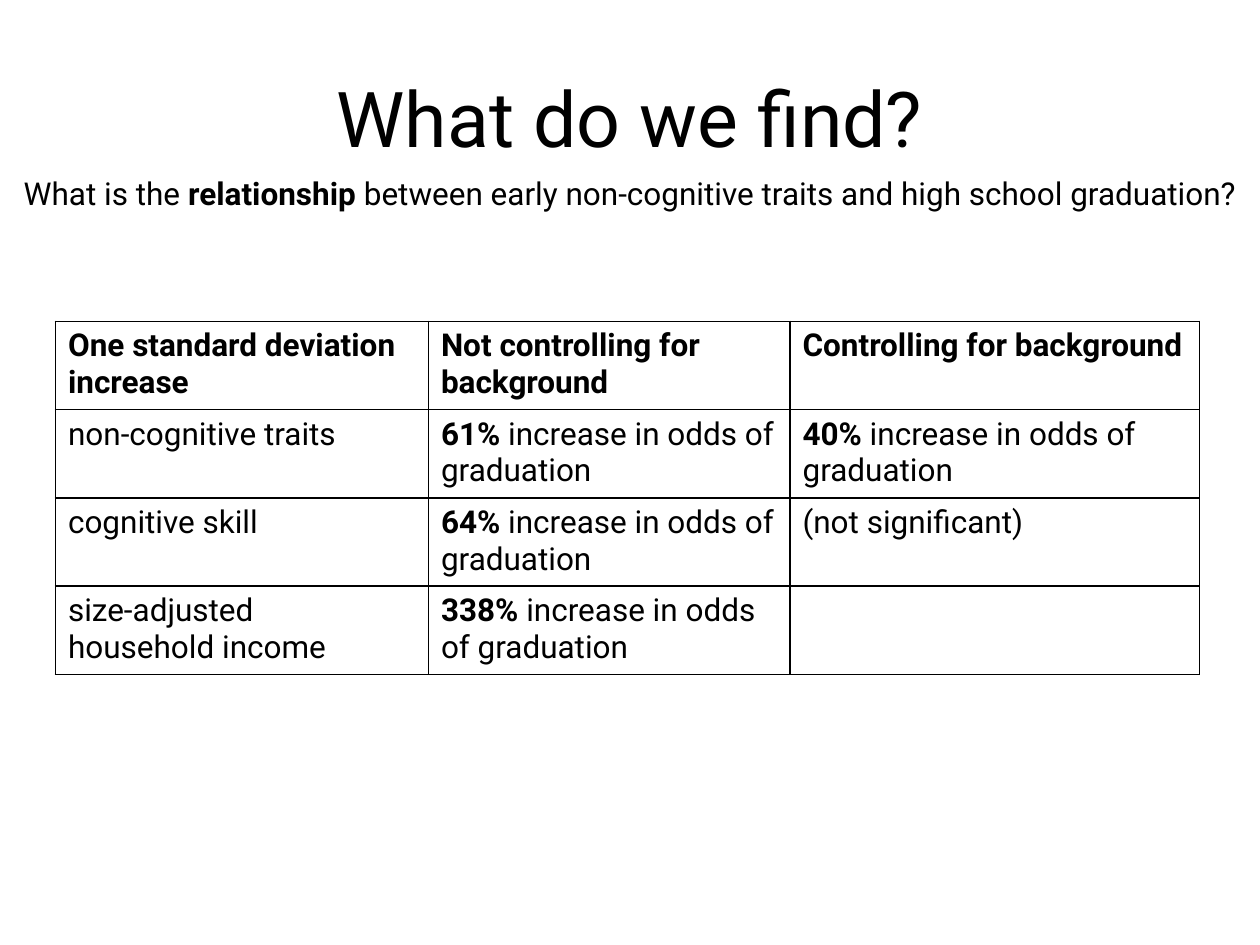
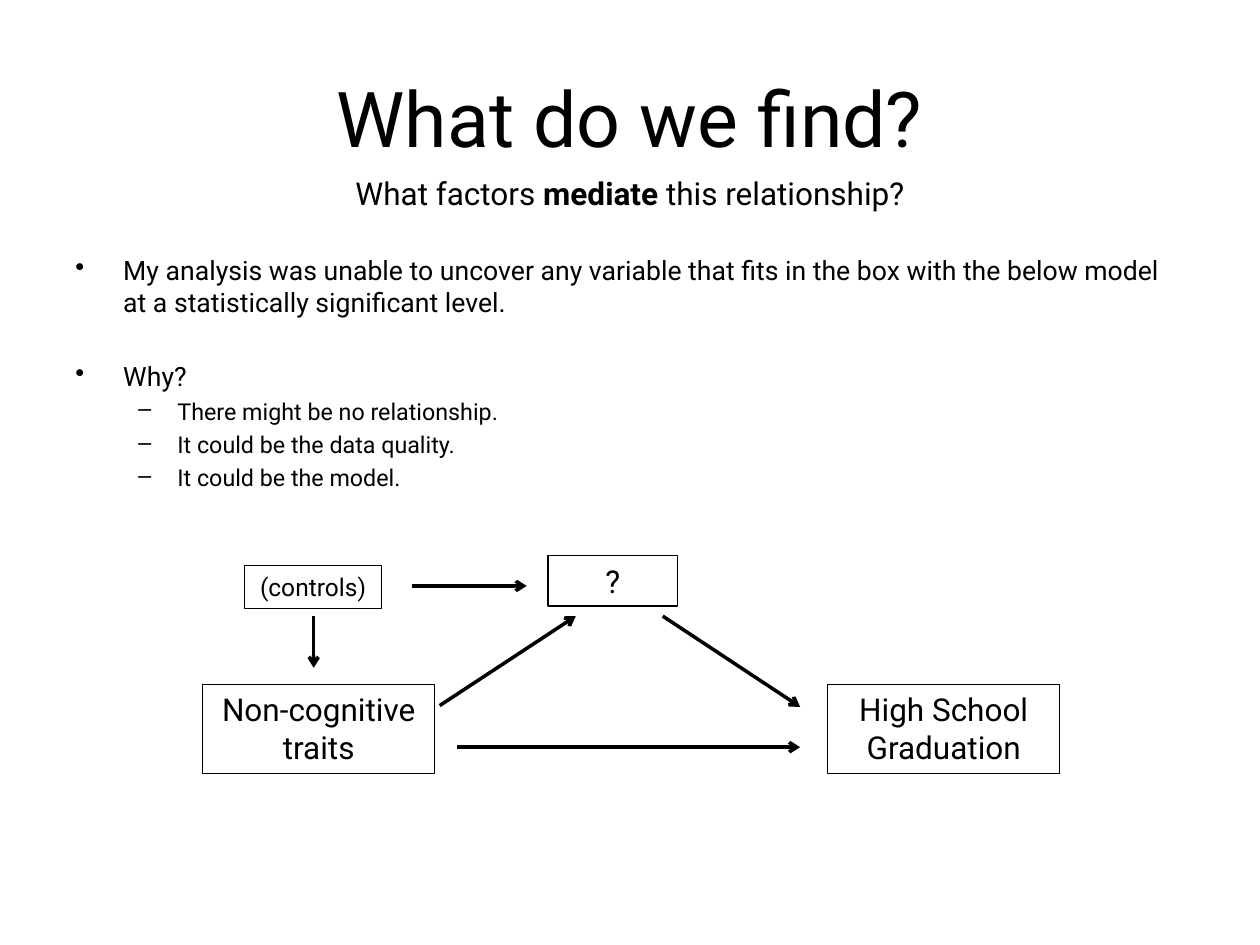
from pptx import Presentation
from pptx.dml.color import RGBColor
from pptx.enum.shapes import MSO_CONNECTOR, MSO_SHAPE
from pptx.enum.text import MSO_ANCHOR, PP_ALIGN
from pptx.oxml.ns import qn
from pptx.util import Inches, Pt
from lxml.etree import SubElement

FONT = "Roboto"
INK = "000000"


def colour(value):
    return RGBColor.from_string(value)


def place(shape, left, top, width, height):
    shape.left, shape.top = Inches(left), Inches(top)
    shape.width, shape.height = Inches(width), Inches(height)


class Deck:
    """Holds the shared style and the slide being built."""

    def __init__(self):
        self.presentation = Presentation()
        self.presentation.slide_width = Inches(10)
        self.presentation.slide_height = Inches(7.5)
        self.slide = None

    def set_text(self, paragraph, text, size, align=PP_ALIGN.LEFT):
        """Fill a paragraph; parts between ** marks are bold."""
        paragraph.alignment = align
        font = paragraph.font
        font.name, font.size = FONT, Pt(size)
        font.color.rgb = colour(INK)
        for index, part in enumerate(text.split("**")):
            if part:
                run = paragraph.add_run()
                run.text = part
                run.font.bold = index % 2 == 1

    def start_slide(self, title, question):
        layout = self.presentation.slide_layouts[5]
        self.slide = self.presentation.slides.add_slide(layout)
        heading = self.slide.shapes.title
        place(heading, 0.5, 0.3, 9, 1.25)
        heading.text_frame.vertical_anchor = MSO_ANCHOR.MIDDLE
        self.set_text(heading.text_frame.paragraphs[0], title, 44, PP_ALIGN.CENTER)
        frame = self.text_frame(0, 1.33, 10, 0.71)
        self.set_text(frame.paragraphs[0], question, 18, PP_ALIGN.CENTER)

    def text_frame(self, *box):
        frame = self.slide.shapes.add_textbox(*map(Inches, box)).text_frame
        frame.word_wrap = True
        return frame

    def bullets(self, box, items):
        """Each item is (level, space before in points, text)."""
        styles = [("•", 15.2, 0.38, 0.38), ("–", 13.3, 0.81, 0.31)]
        frame = self.text_frame(*box)
        for index, (level, space, text) in enumerate(items):
            mark, size, margin, hanging = styles[level]
            paragraph = frame.add_paragraph() if index else frame.paragraphs[0]
            self.set_text(paragraph, text, size)
            paragraph.level = level
            paragraph.space_before = Pt(space)
            properties = paragraph._p.get_or_add_pPr()
            properties.set("marL", str(Inches(margin)))
            properties.set("indent", str(-Inches(hanging)))
            bullet = SubElement(properties, qn("a:buChar"), char=mark)
            bullet.getparent().insert(1, bullet)

    def table(self, left, top, widths, row_height, rows):
        size = Inches(sum(widths)), Inches(row_height * len(rows))
        table = self.slide.shapes.add_table(
            len(rows), len(widths), Inches(left), Inches(top), *size).table
        table.first_row = table.horz_banding = False
        for column, width in zip(table.columns, widths):
            column.width = Inches(width)
        for row, texts in zip(table.rows, rows):
            row.height = Inches(row_height)
            for cell, text in zip(row.cells, texts):
                self.border(cell)
                cell.fill.background()
                frame = cell.text_frame
                for index, line in enumerate(text.split("\n")):
                    paragraph = frame.add_paragraph() if index else frame.paragraphs[0]
                    self.set_text(paragraph, line, 18)

    def border(self, cell):
        properties = cell._tc.get_or_add_tcPr()
        for side in "LRTB":
            line = SubElement(properties, qn(f"a:ln{side}"), w=str(Pt(1)))
            fill = SubElement(line, qn("a:solidFill"))
            SubElement(fill, qn("a:srgbClr"), val=INK)

    def box(self, text, left, top, width, height, size=18):
        shape = self.slide.shapes.add_shape(
            MSO_SHAPE.RECTANGLE, *map(Inches, (left, top, width, height)))
        shape.shadow.inherit = False
        shape.fill.background()
        shape.line.color.rgb = colour(INK)
        shape.line.width = Pt(0.75)
        frame = shape.text_frame
        frame.word_wrap = True
        frame.vertical_anchor = MSO_ANCHOR.TOP
        self.set_text(frame.paragraphs[0], text, size, PP_ALIGN.CENTER)

    def arrow(self, start, end):
        connector = self.slide.shapes.add_connector(
            MSO_CONNECTOR.STRAIGHT, *map(Inches, start + end))
        connector.line.color.rgb = colour(INK)
        connector.line.width = Pt(2)
        SubElement(connector.line._get_or_add_ln(), qn("a:tailEnd"), type="arrow")
        SubElement(connector._element.spPr, qn("a:effectLst"))


def relationship_slide(deck):
    deck.start_slide(
        "What do we find?",
        "What is the** relationship **between early non-cognitive traits "
        "and high school graduation?")
    odds = "**{}%** increase in odds of graduation"
    deck.table(0.44, 2.55, [2.96, 2.87, 3.25], 0.7, [
        ["**One standard deviation increase**",
         "**Not controlling for background**",
         "**Controlling for background**"],
        ["non-cognitive traits", odds.format(61), odds.format(40)],
        ["cognitive skill", odds.format(64), "(not significant)"],
        ["size-adjusted\nhousehold income", odds.format(338), ""],
    ])


def mediation_slide(deck):
    deck.start_slide("What do we find?",
                     "What factors **mediate** this relationship?")
    deck.bullets((0.5, 1.97, 9, 1.83), [
        (0, 3, "My analysis was unable to uncover any variable that fits in "
               "the box with the below model at a statistically significant level."),
        (0, 24, "Why?"),
        (1, 3, "There might be no relationship."),
        (1, 3, "It could be the data quality."),
        (1, 3, "It could be the model."),
    ])

    # Model boxes
    deck.box("Non-cognitive traits", 1.61, 5.43, 1.84, 0.71)
    deck.box("High School Graduation", 6.57, 5.43, 1.84, 0.71)
    deck.box("?", 4.35, 4.41, 1.03, 0.4)
    deck.box("(controls)", 1.94, 4.49, 1.09, 0.34, size=14)

    # Model paths
    deck.arrow((3.63, 5.93), (6.35, 5.93))  # traits to graduation
    deck.arrow((3.49, 5.6), (4.57, 4.89))   # traits to mediator
    deck.arrow((5.26, 4.89), (6.35, 5.61))  # mediator to graduation
    deck.arrow((2.49, 4.89), (2.49, 5.3))   # controls to traits
    deck.arrow((3.27, 4.65), (4.18, 4.65))  # controls to mediator


def main():
    deck = Deck()
    relationship_slide(deck)
    mediation_slide(deck)
    deck.presentation.save("out.pptx")


if __name__ == "__main__":
    main()
